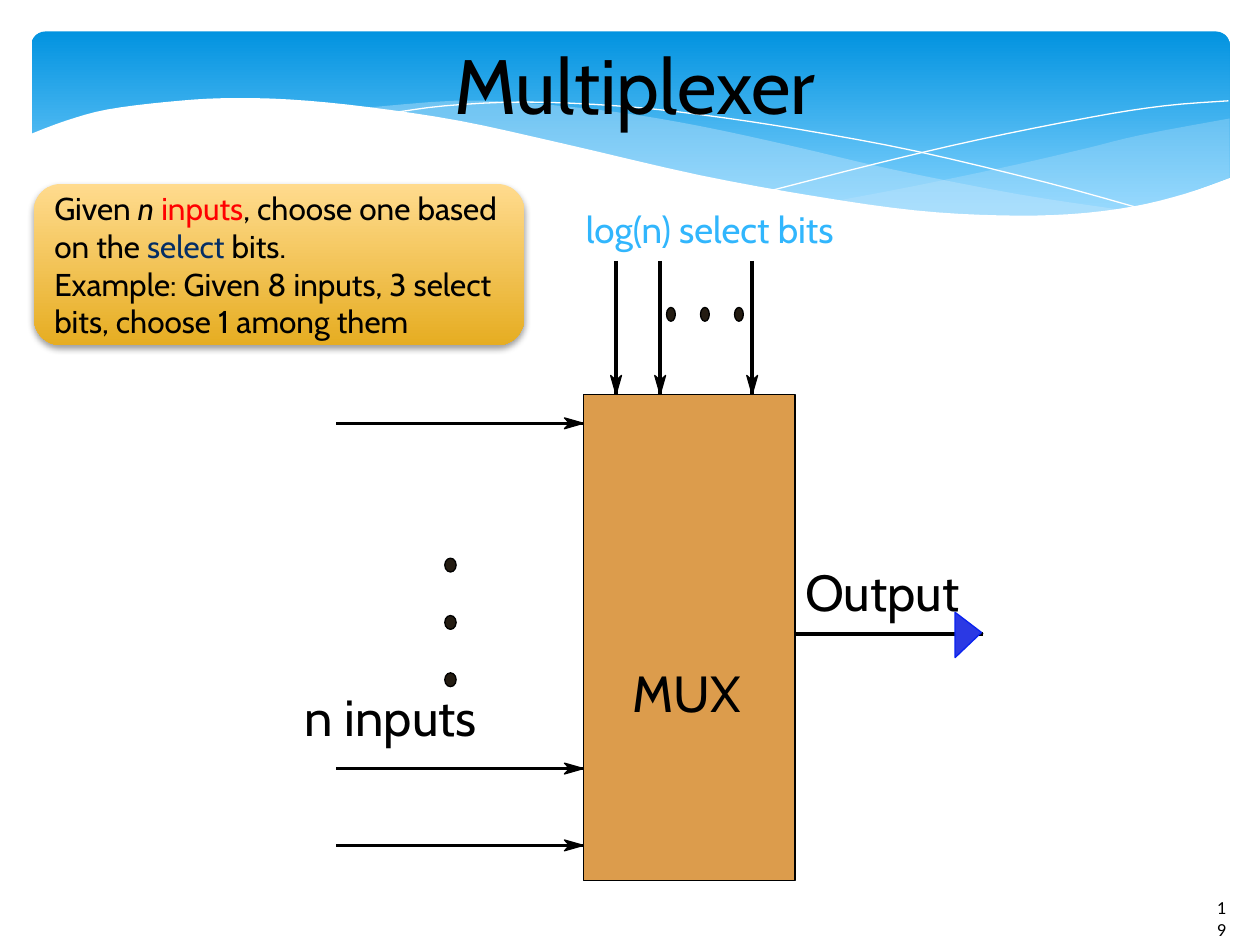
from dataclasses import dataclass
from lxml.etree import SubElement
from pptx import Presentation
from pptx.dml.color import RGBColor
from pptx.enum.shapes import MSO_CONNECTOR as Connector, MSO_SHAPE as Shape
from pptx.enum.text import MSO_ANCHOR as Anchor, PP_ALIGN as Align
from pptx.oxml.ns import qn
from pptx.util import Inches, Pt

BLACK = RGBColor(0x00, 0x00, 0x00)
WHITE = RGBColor(0xFF, 0xFF, 0xFF)
SKY_TOP = RGBColor(0x02, 0x93, 0xE0)
SKY_BOTTOM = RGBColor(0x83, 0xD3, 0xFE)
MIST = RGBColor(0xC6, 0xE7, 0xFC)
CYAN = RGBColor(0x31, 0xB6, 0xFD)
BRONZE = RGBColor(0xDC, 0x9C, 0x4C)
DOT = RGBColor(0x24, 0x1C, 0x12)
BLUE = RGBColor(0x2B, 0x39, 0xE4)
BLUE_EDGE = RGBColor(0x09, 0x22, 0xF0)
GOLD_TOP = RGBColor(0xFF, 0xDB, 0x8E)
GOLD_BOTTOM = RGBColor(0xE6, 0xAD, 0x22)
RED = RGBColor(0xFF, 0x00, 0x00)
NAVY = RGBColor(0x05, 0x2E, 0x65)

COLUMNS, ROWS = 100, 75
CELL = Inches(0.1)
FONT = "Cabin"

RIGHT_WAVE_TOP = [(95.1, 6.9), (88.1, 8.2), (83.6, 9.3), (78, 10.6), (70.4, 12.2), (63.6, 13.5)]
RIGHT_WAVE_BASE = [(63.6, 13.5), (69.4, 14.2), (75.6, 14.6), (81, 14.7), (85.6, 14.2),
                   (89.6, 13.5), (95.1, 11.6)]
LONG_WAVE_TOP = [(86.8, 14.2), (78.2, 12.9), (68.1, 10.9), (60.4, 9.1), (53, 7.5),
                 (46.4, 6.4), (39.5, 5.7), (33.6, 5.5), (26.1, 6.1)]
LONG_WAVE_BASE = [(26.1, 6.1), (33.7, 7.2), (42.4, 9.1), (54.1, 11.8), (62.5, 13.3),
                  (69.7, 14.3), (77.1, 14.8), (82.3, 14.7), (86.8, 14.2)]
FALLING_LINE = [(28.4, 6.5), (32.8, 5.9), (39.1, 5.6), (46.4, 5.9), (53.1, 6.6),
                (61.1, 7.8), (70.2, 9.5), (80.6, 12), (88.2, 14.1)]
RISING_LINE = [(58.8, 12.6), (67, 10.5), (75.1, 8.6), (84.1, 6.8), (89.9, 5.9), (95, 5.5)]
WHITE_CREST = [(95.2, 11.6), (91.5, 12.9), (87.4, 13.9), (82.5, 14.5), (76.8, 14.6),
               (70.1, 14.2), (62.3, 13.1), (53, 11.4), (42.2, 8.9), (34, 7.1), (26.7, 6),
               (20.5, 5.4), (15.2, 5.3), (10.7, 5.6), (6, 6.2), (2.7, 7.1), (-0.2, 8.2)]
WHITE_BASE = [(-0.2, 19.9), (95.2, 19.9)]


@dataclass
class Box:
    left: float
    top: float
    width: float
    height: float

    def point(self, x, y):
        return round((self.left + x) * CELL), round((self.top + y) * CELL)

    def area(self, x, y, width, height):
        return *self.point(x, y), round(width * CELL), round(height * CELL)

    def whole(self):
        return self.area(0, 0, self.width, self.height)


def smooth(points, steps=4):
    padded = [points[0], *points, points[-1]]
    curve = []
    for a, b, c, d in zip(padded, padded[1:], padded[2:], padded[3:]):
        for t in (step / steps for step in range(steps)):
            curve.append(tuple(
                q + t * (r - p) / 2 + t * t * (2 * p - 5 * q + 4 * r - s) / 2
                + t ** 3 * (3 * q - p - 3 * r + s) / 2
                for p, q, r, s in zip(a, b, c, d)))
    return curve + [points[-1]]


def paint(shape, fill=None, edge=None, alpha=None):
    shape.shadow.inherit = False
    if fill is None:
        shape.fill.background()
    else:
        shape.fill.solid()
        shape.fill.fore_color.rgb = fill
    if alpha:
        color = shape._element.spPr.find(qn("a:solidFill")).find(qn("a:srgbClr"))
        SubElement(color, qn("a:alpha"), val=str(alpha * 1000))
    outline(shape, edge)


def outline(shape, edge):
    if edge is None:
        shape.line.fill.background()
    else:
        shape.line.color.rgb = edge
        shape.line.width = Pt(0)


def shade(shape, top, bottom, end):
    shape.shadow.inherit = False
    shape.fill.gradient()
    shape.fill.gradient_angle = 270
    for stop, color, position in zip(shape.fill.gradient_stops, (top, bottom), (0, end)):
        stop.color.rgb = color
        stop.position = position
    outline(shape, None)


def add_outline(page, box, points, closed=True, **style):
    start, *rest = [box.point(x, y) for x, y in points]
    builder = page.shapes.build_freeform(*start, scale=1.0)
    builder.add_line_segments(rest, close=closed)
    paint(builder.convert_to_shape(), **style)


def style_span(span, size, color=BLACK, font=FONT):
    span.font.size = Pt(size)
    span.font.name = font
    span.font.color.rgb = color


def add_label(page, area, text, size, color=BLACK):
    frame = page.shapes.add_textbox(*area).text_frame
    frame.margin_left = frame.margin_right = frame.margin_top = frame.margin_bottom = 0
    frame.word_wrap = False
    frame.text = text
    style_span(frame.paragraphs[0].runs[0], size, color)


def add_dots(page, box, start, step, size):
    for index in range(3):
        x, y = (origin + index * gap for origin, gap in zip(start, step))
        dot = page.shapes.add_shape(Shape.OVAL, *box.area(x, y, *size))
        paint(dot, DOT, BLACK)


def add_line(page, box, start, end):
    line = page.shapes.add_connector(Connector.STRAIGHT, *box.point(*start), *box.point(*end))
    outline(line, BLACK)
    SubElement(line._element.spPr, qn("a:effectLst"))


def add_arrow(page, box, start, end):
    add_line(page, box, start, end)
    x, y = end
    head = [(1.1, 0), (1.5, 0.43), (0, 0), (1.5, -0.43)]
    if start[0] == x:
        points = [(x + side, y - back) for back, side in head]
    else:
        points = [(x - back, y + side) for back, side in head]
    add_outline(page, box, points, fill=BLACK, edge=BLACK)


def add_header(page, box):
    banner = page.shapes.add_shape(Shape.ROUNDED_RECTANGLE, *box.whole())
    banner.adjustments[0] = 0.07
    shade(banner, SKY_TOP, SKY_BOTTOM, 0.9)
    add_outline(page, box, smooth(RIGHT_WAVE_TOP) + smooth(RIGHT_WAVE_BASE), fill=MIST, alpha=29)
    add_outline(page, box, smooth(LONG_WAVE_TOP) + smooth(LONG_WAVE_BASE), fill=MIST, alpha=40)
    for line in (FALLING_LINE, RISING_LINE):
        add_outline(page, box, smooth(line), closed=False, edge=WHITE)
    add_outline(page, box, smooth(WHITE_CREST) + WHITE_BASE, fill=WHITE)
    frame = page.shapes.add_textbox(*box.area(0.8, 0, 94.2, 8.4)).text_frame
    frame.word_wrap = True
    frame.text = "Multiplexer"
    para = frame.paragraphs[0]
    para.alignment = Align.CENTER
    style_span(para.runs[0], 44)


def add_mux(page, box):
    paint(page.shapes.add_shape(Shape.RECTANGLE, *box.whole()), BRONZE, BLACK)
    add_label(page, box.area(3.9, 21.2, 10.7, 5.8), "MUX", 29)


def add_inputs(page, box):
    for y in (0, 27.4, box.height):
        add_arrow(page, box, (2.5, y), (box.width, y))
    add_dots(page, box, (11.1, 10.7), (0, 4.55), (0.9, 1.1))
    add_label(page, box.area(0, 20.8, 15.9, 5.8), "n inputs", 29)


def add_selects(page, box):
    for x in (2.4, 5.9, 13.2):
        add_arrow(page, box, (x, 4.3), (x, box.height))
    add_dots(page, box, (6.4, 8), (2.7, 0), (0.7, 1.1))
    add_label(page, box.area(0, 0, box.width, 3.9), "log(n) select bits", 21, CYAN)


def add_output(page, box):
    add_arrow(page, box, (0, 5.8), (box.width, 5.8))
    add_label(page, box.area(0.9, 0, 13.8, 5.8), "Output", 29)
    add_outline(page, box, [(12.8, 4.1), (12.8, 7.7), (14.9, 5.7)], fill=BLUE, edge=BLUE_EDGE)


def add_page_number(page, box):
    shape = page.shapes.add_shape(Shape.RECTANGLE, *box.whole())
    paint(shape, WHITE)
    frame = shape.text_frame
    frame.word_wrap = True
    frame.vertical_anchor = Anchor.TOP
    frame.text = "19"
    frame.paragraphs[0].alignment = Align.LEFT
    style_span(frame.paragraphs[0].runs[0], 10.5, font="Calibri")


def add_card(page, box):
    card = page.shapes.add_shape(Shape.ROUNDED_RECTANGLE, *box.whole())
    shade(card, GOLD_TOP, GOLD_BOTTOM, 1)
    effects = card._element.spPr.find(qn("a:effectLst"))
    shadow = SubElement(effects, qn("a:outerShdw"), blurRad=str(Pt(4)), dist=str(Pt(2)),
                        dir="5400000", rotWithShape="0")
    color = SubElement(shadow, qn("a:srgbClr"), val=str(BLACK))
    SubElement(color, qn("a:alpha"), val="38000")
    frame = card.text_frame
    frame.word_wrap = True
    frame.vertical_anchor = Anchor.MIDDLE
    lines = [
        [("Given ", BLACK), ("n ", BLACK), ("inputs", RED),
         (", choose one based on the ", BLACK), ("select", NAVY), (" bits.", BLACK)],
        [("Example: Given 8 inputs, 3 select bits, choose 1 among them", BLACK)],
    ]
    for index, line in enumerate(lines):
        para = frame.add_paragraph() if index else frame.paragraphs[0]
        para.alignment = Align.LEFT
        for text, color in line:
            span = para.add_run()
            span.text = text
            style_span(span, 18, color)
            span.font.italic = text == "n "


def main():
    deck = Presentation()
    deck.slide_width, deck.slide_height = COLUMNS * CELL, ROWS * CELL
    page = deck.slides.add_slide(deck.slide_layouts[6])
    add_header(page, Box(2.5, 2.5, 95.1, 15.6))
    add_mux(page, Box(46.3, 31.3, 16.8, 38.6))
    add_inputs(page, Box(24.2, 33.6, 22.1, 33.5))
    add_selects(page, Box(46.5, 16.4, 21.4, 14.9))
    add_output(page, Box(63, 44.5, 15, 7.7))
    add_page_number(page, Box(95.6, 70.6, 2.8, 2.8))
    add_card(page, Box(2.7, 14.6, 38.9, 12.8))
    deck.save("out.pptx")


if __name__ == "__main__":
    main()
